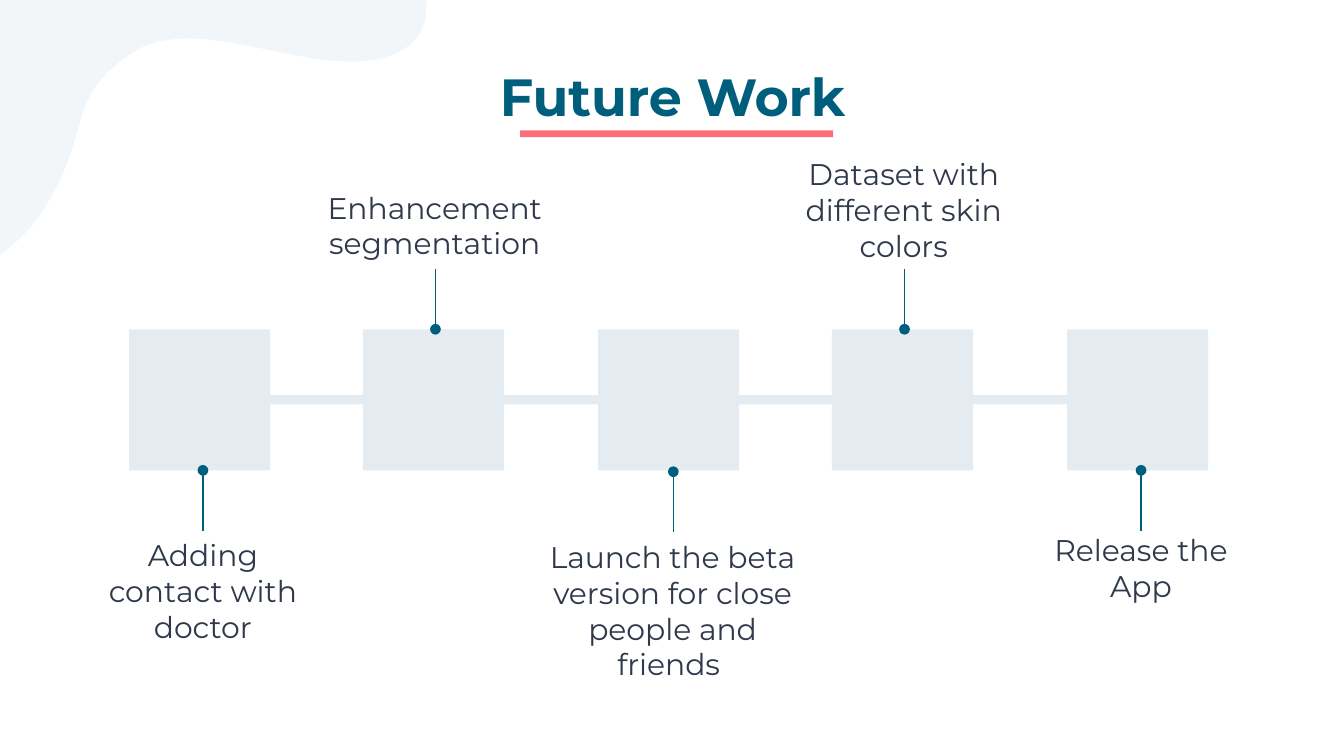
"""Build the Future Work timeline slide."""
import lxml.etree
import pptx
import pptx.dml.color
import pptx.enum.shapes
import pptx.enum.text
import pptx.oxml.ns
import pptx.util

SCALE = 9144
SHAPES = pptx.enum.shapes.MSO_SHAPE
THEME = {
    "blob": "F2F6F8", "box": "E4ECF1", "accent": "FC6D78",
    "teal": "005E7D", "ink": "30394B",
    "head": {"name": "Montserrat", "size": pptx.util.Pt(28), "bold": True},
    "label": {"name": "Montserrat", "size": pptx.util.Pt(16), "bold": False},
    "line": pptx.util.Pt(0.75),
}
FRAME = {
    "word_wrap": True,
    "auto_size": pptx.enum.text.MSO_AUTO_SIZE.NONE,
    "vertical_anchor": pptx.enum.text.MSO_ANCHOR.MIDDLE,
    "margin_left": 10 * SCALE, "margin_right": 10 * SCALE,
    "margin_top": 10 * SCALE, "margin_bottom": 10 * SCALE,
}
START = (-83, -32)
CURVES = [
    ((-121, 22), (-100, 73), (-99, 123)),
    ((-99, 172), (-142, 306), (-118, 273)),
    ((-105, 253), (3, 201), (29, 161)),
    ((71, 99), (46, 75), (97, 40)),
    ((148, 5), (238, 64), (294, 40)),
    ((331, 24), (324, -20), (273, -91)),
    ((261, -127), (124, -19), (79, -48)),
    ((27, -82), (-49, -81), (-83, -32)),
]
STEPS = [
    ("Adding contact with doctor", (59, 390, 184, 99), (151, 350), 45),
    ("Enhancement segmentation", (221, 140, 205, 55), (324, 245), -45),
    ("Launch the beta version for close people and friends ",
     (398, 390, 205, 128), (501, 351), 45),
    ("Dataset with different skin colors", (570, 117, 205, 78), (673, 245), -45),
    ("Release the App", (759, 385, 180, 75), (849, 350), 45),
]


def px(*sizes):
    return [round(size * SCALE) for size in sizes]


def tint(name):
    return pptx.dml.color.RGBColor.from_string(THEME[name])


def apply(target, values):
    for name, value in values.items():
        setattr(target, name, value)


def paint(shape, color):
    shape.shadow.inherit = False
    shape.fill.solid()
    shape.fill.fore_color.rgb = tint(color)
    shape.line.fill.background()


def add_block(slide, kind, color, *place):
    paint(slide.shapes.add_shape(kind, *px(*place)), color)


def add_blob(slide):
    points, last = [], START
    for one, two, end in CURVES:
        for step in range(1, 17):
            t = step / 16
            u = 1 - t
            points.append(px(*(
                u**3 * a + 3 * u * u * t * b + 3 * u * t * t * c + t**3 * d
                for a, b, c, d in zip(last, one, two, end))))
        last = end
    form = slide.shapes.build_freeform(*px(*START), scale=1.0)
    form.add_line_segments(points, close=True)
    paint(form.convert_to_shape(), "blob")


def write(shape, text, style, color):
    frame = shape.text_frame
    apply(frame, FRAME)
    frame.text = text
    para = frame.paragraphs[0]
    para.alignment = pptx.enum.text.PP_ALIGN.CENTER
    apply(para.runs[0].font, THEME[style])
    para.runs[0].font.color.rgb = tint(color)


def add_title(slide, text):
    title = slide.shapes.title
    apply(title, dict(zip(("left", "top", "width", "height"),
                          px(79, 44, 843, 55))))
    write(title, text, "head", "teal")


def add_label(slide, text, place):
    write(slide.shapes.add_textbox(*px(*place)), text, "label", "ink")


def add_pin(slide, x, y, reach):
    add_block(slide, SHAPES.OVAL, "teal", x - 4, y - 4, 8, 8)
    stem = slide.shapes.add_connector(
        pptx.enum.shapes.MSO_CONNECTOR.STRAIGHT, *px(x, y, x, y + reach))
    stem.line.color.rgb = tint("teal")
    stem.line.width = THEME["line"]
    lxml.etree.SubElement(stem._element.spPr, pptx.oxml.ns.qn("a:effectLst"))


def main():
    deck = pptx.Presentation()
    deck.slide_width = 1000 * SCALE
    deck.slide_height = deck.slide_width * 9 // 16
    slide = deck.slides.add_slide(deck.slide_layouts[5])
    add_blob(slide)
    add_title(slide, "Future Work")
    add_block(slide, SHAPES.RECTANGLE, "accent", 387, 97, 233, 5)
    add_block(slide, SHAPES.RECTANGLE, "box", 194, 294, 611, 7)
    for index, (text, place, spot, reach) in enumerate(STEPS):
        left = 96 + 349 * index // 2
        add_block(slide, SHAPES.RECTANGLE, "box", left, 245, 105, 105)
        add_label(slide, text, place)
        add_pin(slide, *spot, reach)
    deck.save("out.pptx")


if __name__ == "__main__":
    main()
